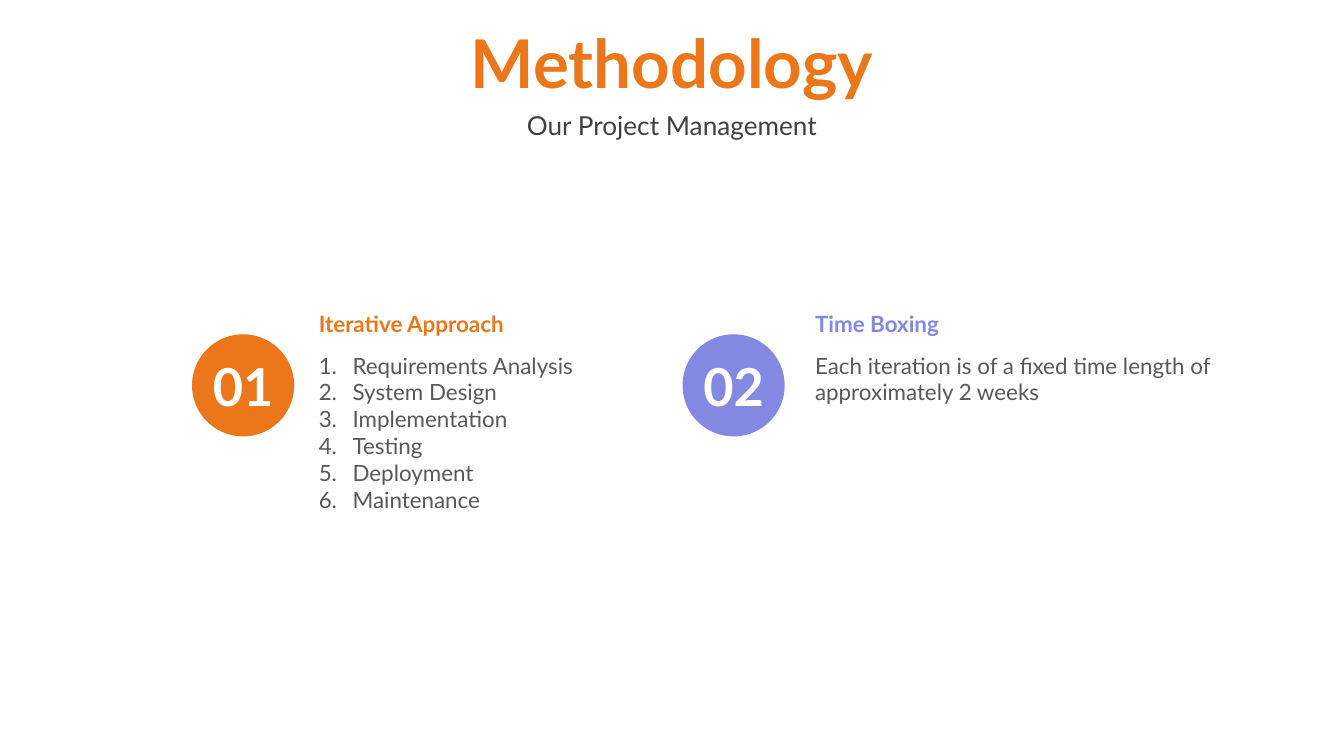
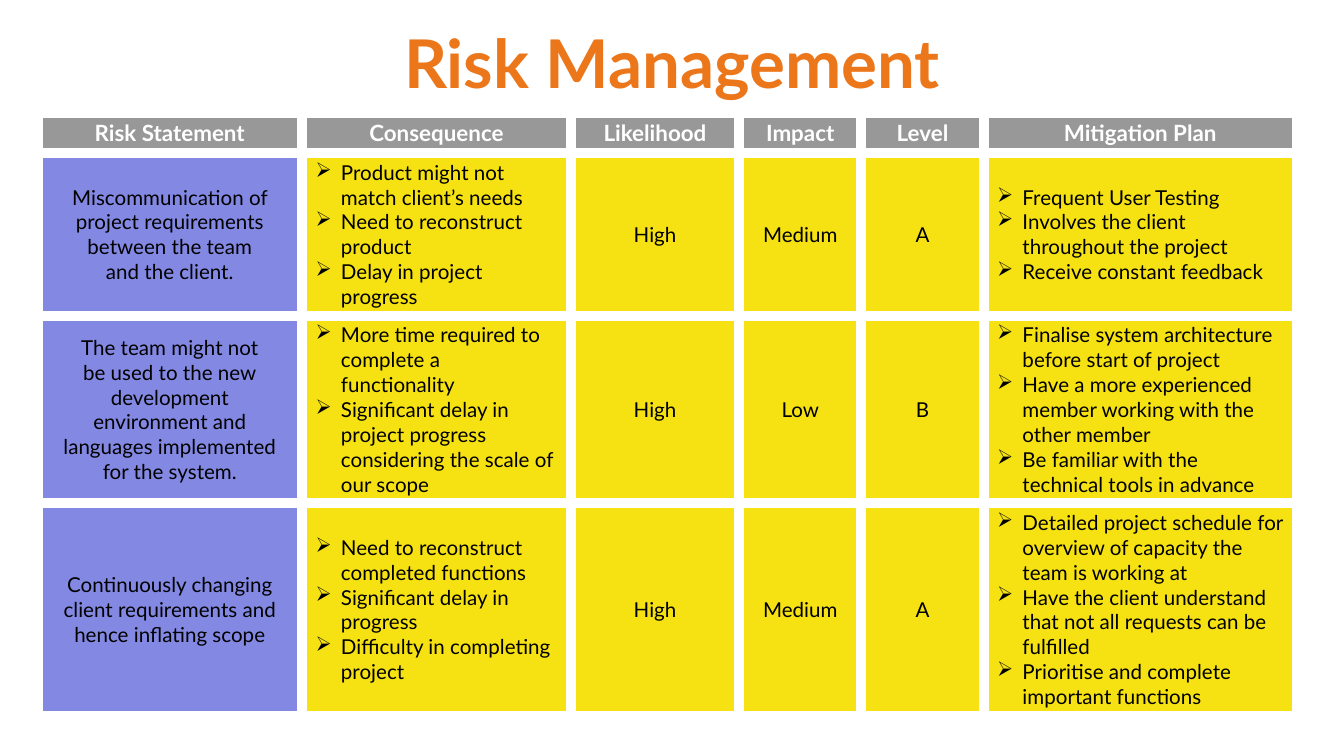
from lxml.etree import SubElement
from pptx import Presentation
from pptx.dml.color import RGBColor
from pptx.enum.shapes import MSO_SHAPE
from pptx.enum.text import MSO_ANCHOR, MSO_AUTO_SIZE, PP_ALIGN
from pptx.oxml.ns import qn
from pptx.util import Cm, Pt

ORANGE, VIOLET, YELLOW = "EC771B", "8388E3", "F6E213"
GREY, TEXT, DARK, WHITE, BLACK = "989898", "595959", "404040", "FFFFFF", "000000"
FONT = "Lato"
TITLE_BOX = (0, 0.36, 25.4, 1.6)


def paint(fill, color):
    fill.solid()
    fill.fore_color.rgb = RGBColor.from_string(color)


def write(tf, text, size=12, color=TEXT, bold=False, align=PP_ALIGN.LEFT,
          bullet=None, indent=0.0, anchor=None, box=None):
    """Fill a text frame, one paragraph per line; box moves its shape (cm).

    bullet is a character, or "1." for automatic numbering.
    """
    if box:
        sp = tf._parent
        sp.left, sp.top, sp.width, sp.height = map(Cm, box)
    if anchor is not None:
        tf.word_wrap = True
        tf.auto_size = MSO_AUTO_SIZE.NONE
        tf.vertical_anchor = anchor
    tf.text = text
    for p in tf.paragraphs:
        p.alignment = align
        p.space_before = Pt(0)
        pPr = p._p.get_or_add_pPr()
        pPr.set("marL", str(Cm(indent)))
        pPr.set("indent", str(-Cm(indent)))
        if bullet == "1.":
            SubElement(pPr, qn("a:buAutoNum"), type="arabicPeriod")
        elif bullet:
            SubElement(pPr, qn("a:buChar"), char=bullet)
        else:
            SubElement(pPr, qn("a:buNone"))
        for r in p.runs:
            r.font.name = FONT
            r.font.size = Pt(size)
            r.font.bold = bold
            r.font.color.rgb = RGBColor.from_string(color)


prs = Presentation()
prs.slide_width, prs.slide_height = Cm(25.4), Cm(14.29)
title_style = dict(size=36, color=ORANGE, bold=True, align=PP_ALIGN.CENTER,
                   anchor=MSO_ANCHOR.MIDDLE, box=TITLE_BOX)

# Methodology: the comparison layout has a heading and a body per column
slide = prs.slides.add_slide(prs.slide_layouts.get_by_name("Comparison"))
write(slide.shapes.title.text_frame, "Methodology", **title_style)
subtitle = slide.shapes.add_textbox(0, 0, 0, 0)
write(subtitle.text_frame, "Our Project Management", size=14, color=DARK,
      align=PP_ALIGN.CENTER, anchor=MSO_ANCHOR.MIDDLE, box=(0, 1.96, 25.4, 0.79))

methods = [
    ("01", "Iterative Approach", ORANGE, 3.63, 5.77,
     "Requirements Analysis\nSystem Design\nImplementation\nTesting\nDeployment\nMaintenance",
     dict(bullet="1.", indent=0.64)),
    ("02", "Time Boxing", VIOLET, 12.9, 15.15,
     "Each iteration is of a fixed time length of approximately 2 weeks", {}),
]
headings = [slide.placeholders[1], slide.placeholders[3]]
bodies = [slide.placeholders[2], slide.placeholders[4]]
for method, heading, body in zip(methods, headings, bodies):
    number, name, color, circle_left, text_left, text, list_style = method
    sp = slide.shapes.add_shape(MSO_SHAPE.OVAL, Cm(circle_left), Cm(6.32), Cm(1.93), Cm(1.93))
    sp.shadow.inherit = False
    paint(sp.fill, color)
    sp.line.fill.background()
    tf = sp.text_frame
    tf.margin_left = tf.margin_right = tf.margin_top = tf.margin_bottom = 0
    write(tf, number, size=28, color=WHITE, bold=True, align=PP_ALIGN.CENTER,
          anchor=MSO_ANCHOR.MIDDLE)
    write(heading.text_frame, name, color=color, bold=True, anchor=MSO_ANCHOR.TOP,
          box=(text_left, 5.74, 8.15, 0.76))
    write(body.text_frame, text, anchor=MSO_ANCHOR.TOP,
          box=(text_left, 6.52, 8.15, 3.33), **list_style)

# Risk Management
slide = prs.slides.add_slide(prs.slide_layouts.get_by_name("Title Only"))
write(slide.shapes.title.text_frame, "Risk Management", **title_style)

risks = [
    ("Risk Statement", "Consequence", "Likelihood", "Impact", "Level", "Mitigation Plan"),
    ("Miscommunication of project requirements\nbetween the team\nand the client.",
     "Product might not match client’s needs\nNeed to reconstruct product\n"
     "Delay in project progress",
     "High", "Medium", "A",
     "Frequent User Testing\nInvolves the client throughout the project\n"
     "Receive constant feedback"),
    ("The team might not\nbe used to the new\ndevelopment\nenvironment and\n"
     "languages implemented\nfor the system.",
     "More time required to complete a functionality\n"
     "Significant delay in project progress considering the scale of our scope",
     "High", "Low", "B",
     "Finalise system architecture before start of project\n"
     "Have a more experienced member working with the other member\n"
     "Be familiar with the technical tools in advance"),
    ("Continuously changing client requirements and hence inflating scope",
     "Need to reconstruct completed functions\nSignificant delay in progress\n"
     "Difficulty in completing project",
     "High", "Medium", "A",
     "Detailed project schedule for overview of capacity the team is working at\n"
     "Have the client understand that not all requests can be fulfilled\n"
     "Prioritise and complete important functions"),
]
col_widths = [5, 5.08, 3.18, 2.31, 2.31, 5.92]
row_heights = [0.76, 3.07, 3.54, 4]
LIST_COLUMNS = (1, 5)

table = slide.shapes.add_table(len(risks), len(col_widths), Cm(0.71), Cm(2.13),
                               Cm(sum(col_widths)), Cm(sum(row_heights))).table
table.first_row = table.horz_banding = False
for column, width in zip(table.columns, col_widths):
    column.width = Cm(width)
for row, height in zip(table.rows, row_heights):
    row.height = Cm(height)

for i, risk in enumerate(risks):
    for j, text in enumerate(risk):
        cell = table.cell(i, j)
        cell.vertical_anchor = MSO_ANCHOR.MIDDLE
        for side in ("lnL", "lnR", "lnT", "lnB"):
            ln = SubElement(cell._tc.get_or_add_tcPr(), qn(f"a:{side}"), w=str(Pt(6)))
            SubElement(SubElement(ln, qn("a:solidFill")), qn("a:srgbClr"), val=WHITE)
        if i == 0:
            paint(cell.fill, GREY)
            write(cell.text_frame, text, color=WHITE, bold=True, align=PP_ALIGN.CENTER)
            continue
        paint(cell.fill, VIOLET if j == 0 else YELLOW)
        if j in LIST_COLUMNS:
            write(cell.text_frame, text, size=11, color=BLACK, bullet="➢", indent=0.48)
        else:
            write(cell.text_frame, text, size=11, color=BLACK, align=PP_ALIGN.CENTER)

prs.save("out.pptx")
